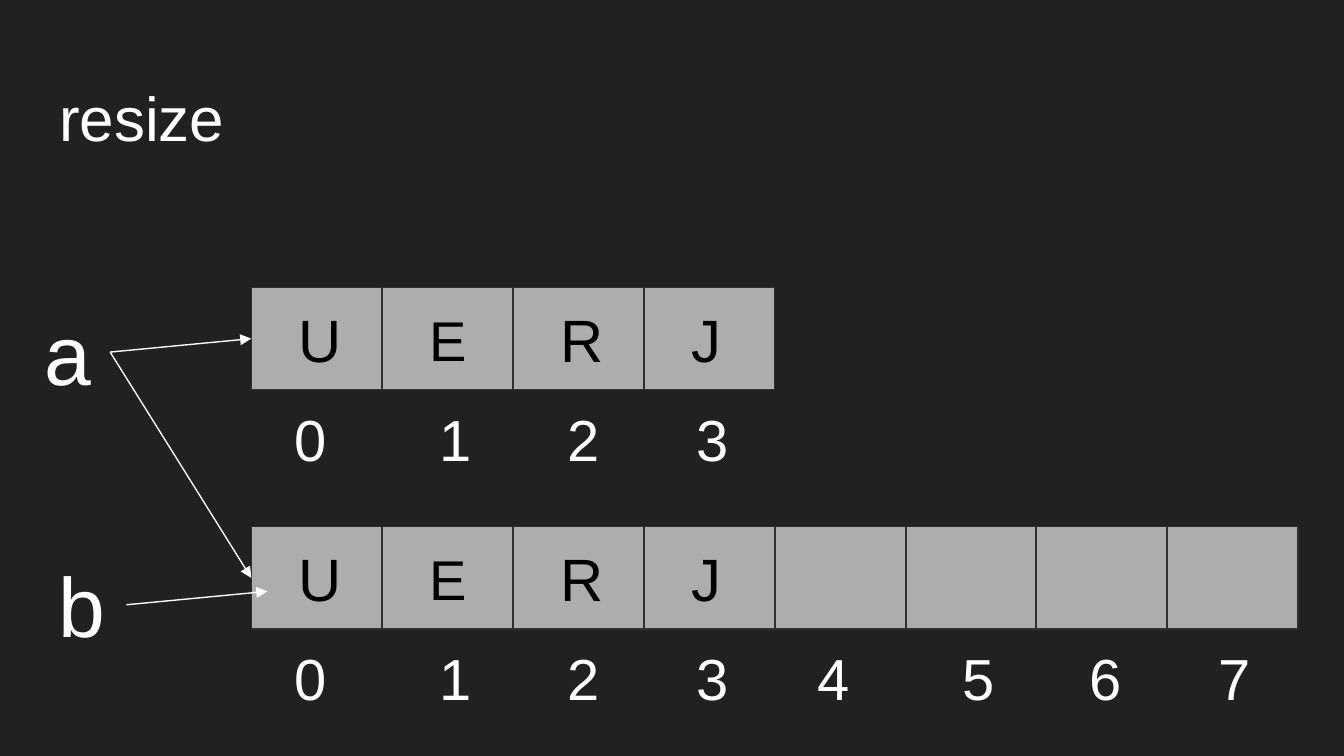
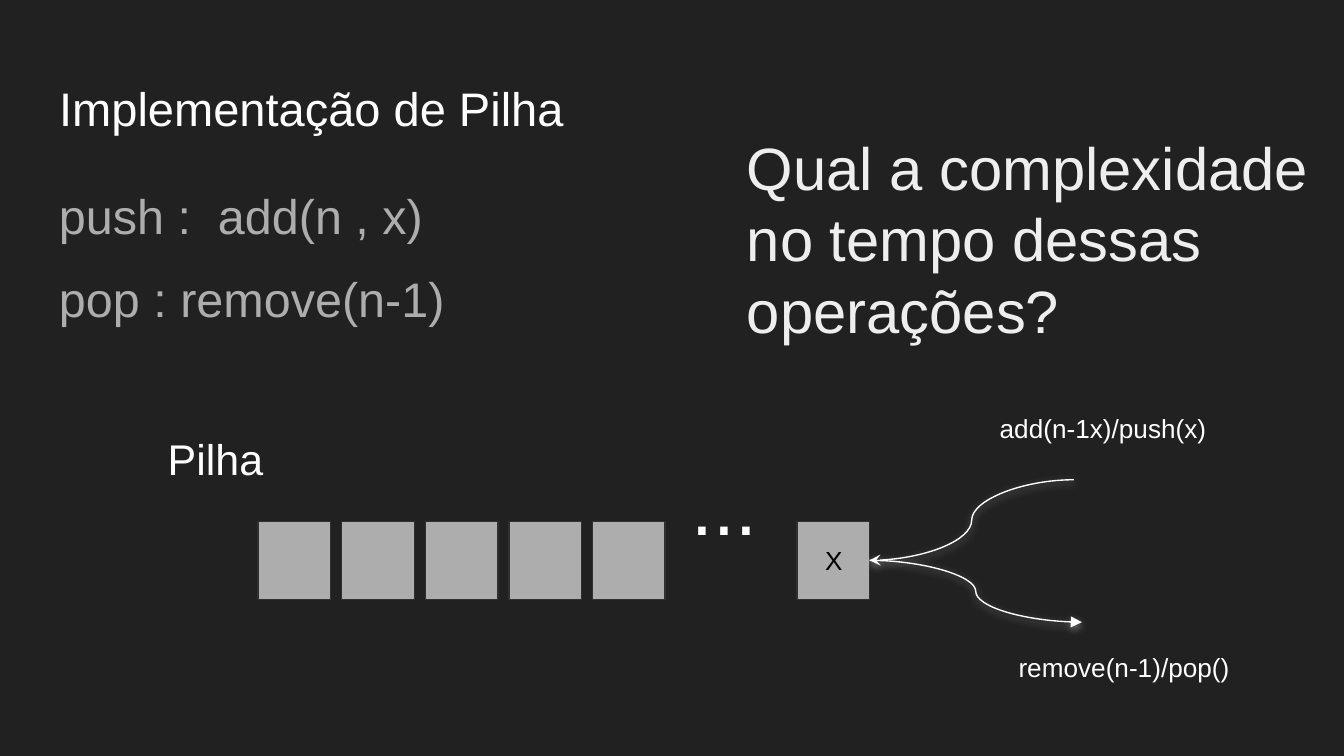
from pptx import Presentation
from pptx.dml.color import RGBColor
from pptx.enum.shapes import MSO_CONNECTOR, MSO_SHAPE
from pptx.enum.text import MSO_ANCHOR, MSO_AUTO_SIZE, PP_ALIGN
from pptx.oxml import parse_xml
from pptx.oxml.ns import nsdecls
from pptx.util import Inches, Pt

COLORS = {"bg": "212121", "cell": "ADADAD", "edge": "303030", "white": "FFFFFF",
          "black": "000000", "question": "EEEEEE"}
RGB = {name: RGBColor.from_string(value) for name, value in COLORS.items()}
FRAME = {"word_wrap": True, "auto_size": MSO_AUTO_SIZE.NONE,
         "margin_left": Inches(0.1), "margin_right": Inches(0.1),
         "margin_top": Inches(0.1), "margin_bottom": Inches(0.1)}


def write(sp, text, size, color, anchor=MSO_ANCHOR.TOP, left=0.1, tabs=()):
    tf = sp.text_frame
    for key, value in {**FRAME, "vertical_anchor": anchor, "margin_left": Inches(left)}.items():
        setattr(tf, key, value)
    tf.text = text
    for p in tf.paragraphs:
        p.alignment = PP_ALIGN.LEFT
        if tabs:
            stops = "".join(f'<a:tab pos="{Inches(t)}" algn="l"/>' for t in tabs)
            p._p.get_or_add_pPr().append(parse_xml(f'<a:tabLst {nsdecls("a")}>{stops}</a:tabLst>'))
        for r in p.runs:
            for key, value in {"name": "Arial", "size": Pt(size)}.items():
                setattr(r.font, key, value)
            r.font.color.rgb = RGB[color]
    return tf


def connect(s, kind, start, end, head=None, tail=None, effect=""):
    cn = s.shapes.add_connector(kind, *[Inches(v) for v in start + end])
    cn.line.color.rgb = RGB["white"]
    cn.line.width = Pt(0.75)
    for tag, arrow in (("headEnd", head), ("tailEnd", tail)):
        if arrow:
            cn.line._get_or_add_ln().append(parse_xml(
                f'<a:{tag} {nsdecls("a")} type="{arrow}" w="med" len="med"/>'))
    cn._element.spPr.append(parse_xml(
        f'<a:effectLst {nsdecls("a")}>{effect}</a:effectLst>'))


prs = Presentation()
prs.slide_width, prs.slide_height = Inches(10), Inches(5.625)

slides = []
for title, size in (("resize", 33.2), ("Implementação de Pilha", 25.2)):
    s = prs.slides.add_slide(prs.slide_layouts[5])
    s.background.fill.solid()
    s.background.fill.fore_color.rgb = RGB["bg"]
    sp = s.shapes.title
    sp.left, sp.top, sp.width, sp.height = [Inches(v) for v in (0.34, 0.49, 9.32, 0.63)]
    write(sp, title, size, "white")
    slides.append(s)
resize, stack = slides

cells = []
for y, letters in ((2.14, "UERJ"), (3.92, "UERJ    ")):
    for i, letter in enumerate(letters):
        cells.append((resize, 1.87 + i * 0.974, y, 0.97, 0.76, letter.strip(),
                      30 if letter == "E" else 32, 0.35))
for i in range(5):
    cells.append((stack, 1.92 + i * 0.6225, 3.88, 0.54, 0.58, "", 14, 0.1))
cells.append((stack, 5.93, 3.88, 0.54, 0.58, "X", 14, 0.21))

for s, x, y, w, h, text, size, left in cells:
    sp = s.shapes.add_shape(MSO_SHAPE.RECTANGLE, *[Inches(v) for v in (x, y, w, h)])
    sp.shadow.inherit = False
    sp.fill.solid()
    sp.fill.fore_color.rgb = RGB["cell"]
    sp.line.color.rgb = RGB["edge"]
    sp.line.width = Pt(0.75)
    if text:
        write(sp, text, size, "black", MSO_ANCHOR.MIDDLE, left)

for x, y, digits in ((1.97, 2.9, "0123"), (1.97, 4.68, "0123"), (5.86, 4.68, "4567")):
    sp = resize.shapes.add_textbox(Inches(x), Inches(y), Inches(3.8), Inches(0.72))
    write(sp, "\t".join(digits), 31, "white", left=0.22, tabs=(1.08, 2.03, 2.99))

labels = [
    (resize, 0.23, 2.14, 0.59, 0.96, "a", 45, "white"),
    (resize, 0.34, 4.02, 0.59, 0.96, "b", 45, "white"),
    (stack, 7.34, 2.97, 2.06, 0.44, "add(n-1x)/push(x)", 14, "white"),
    (stack, 7.48, 4.75, 2.42, 0.44, "remove(n-1)/pop()", 14, "white"),
    (stack, 1.15, 3.12, 1.63, 0.59, "Pilha", 23, "white"),
    (stack, 5.05, 3.3, 0.78, 0.91, "...", 42, "white"),
    (stack, 5.46, 0.87, 4.54, 1.82,
     "Qual a complexidade no tempo dessas operações?", 32, "question"),
]
for s, x, y, w, h, text, size, color in labels:
    sp = s.shapes.add_textbox(*[Inches(v) for v in (x, y, w, h)])
    write(sp, text, size, color)

sp = stack.shapes.add_textbox(Inches(0.34), Inches(1.26), Inches(9.32), Inches(1.27))
tf = write(sp, "push :  add(n , x)\npop : remove(n-1)", 26, "cell")
for p in tf.paragraphs:
    p.line_spacing = 1.05
p.space_before = p.space_after = Pt(12)

for start, end in (((0.82, 2.62), (1.87, 2.52)), ((0.82, 2.62), (1.87, 4.3)),
                   ((0.94, 4.5), (1.99, 4.4))):
    connect(resize, MSO_CONNECTOR.STRAIGHT, start, end, tail="triangle")

glow = (f'<a:outerShdw blurRad="{Pt(4.5)}" dist="{Pt(1.5)}" dir="5400000" algn="bl" '
        f'rotWithShape="0"><a:srgbClr val="{COLORS["question"]}">'
        '<a:alpha val="50000"/></a:srgbClr></a:outerShdw>')
connect(stack, MSO_CONNECTOR.CURVE, (7.99, 3.57), (6.47, 4.17), tail="stealth", effect=glow)
connect(stack, MSO_CONNECTOR.CURVE, (8.05, 4.63), (6.47, 4.17), head="triangle", effect=glow)

prs.save("out.pptx")
